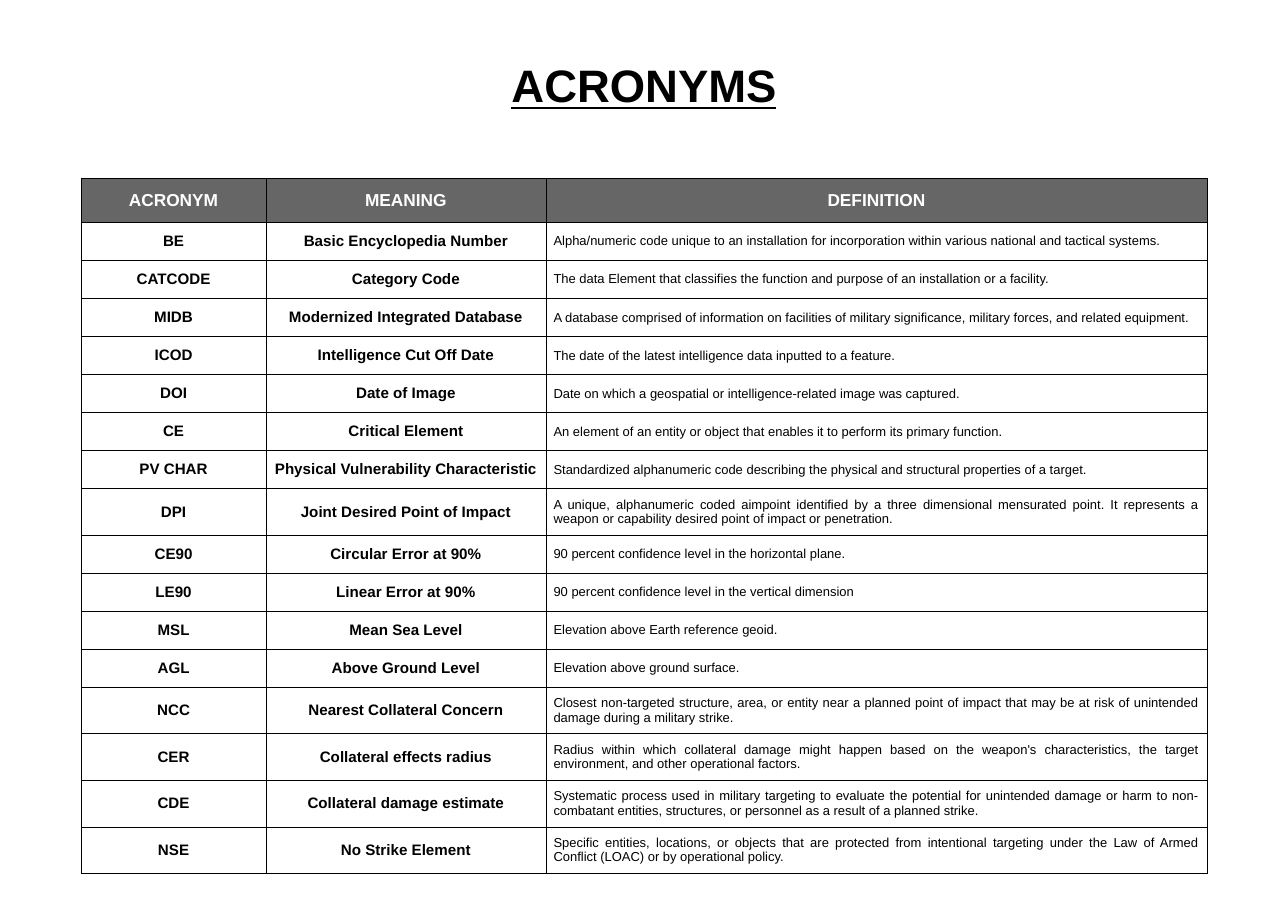
import lxml.etree
import pptx
import pptx.dml.color
import pptx.enum.text
import pptx.oxml
import pptx.oxml.ns
import pptx.util

Cm = pptx.util.Cm
Pt = pptx.util.Pt
ALIGN = pptx.enum.text.PP_ALIGN
MIDDLE = pptx.enum.text.MSO_ANCHOR.MIDDLE

HEADINGS = ("ACRONYM", "MEANING", "DEFINITION")
ACRONYMS = [
    ("BE", "Basic Encyclopedia Number",
     "Alpha/numeric code unique to an installation for incorporation within "
     "various national and tactical systems."),
    ("CATCODE", "Category Code",
     "The data Element that classifies the function and purpose of an "
     "installation or a facility."),
    ("MIDB", "Modernized Integrated Database",
     "A database comprised of information on facilities of military "
     "significance, military forces, and related equipment."),
    ("ICOD", "Intelligence Cut Off Date",
     "The date of the latest intelligence data inputted to a feature."),
    ("DOI", "Date of Image",
     "Date on which a geospatial or intelligence-related image was captured."),
    ("CE", "Critical Element",
     "An element of an entity or object that enables it to perform its "
     "primary function."),
    ("PV CHAR", "Physical Vulnerability Characteristic",
     "Standardized alphanumeric code describing the physical and structural "
     "properties of a target."),
    ("DPI", "Joint Desired Point of Impact",
     "A unique, alphanumeric coded aimpoint identified by a three dimensional "
     "mensurated point. It represents a weapon or capability desired point of "
     "impact or penetration."),
    ("CE90", "Circular Error at 90%",
     "90 percent confidence level in the horizontal plane."),
    ("LE90", "Linear Error at 90%",
     "90 percent confidence level in the vertical dimension"),
    ("MSL", "Mean Sea Level", "Elevation above Earth reference geoid."),
    ("AGL", "Above Ground Level", "Elevation above ground surface."),
    ("NCC", "Nearest Collateral Concern",
     "Closest non-targeted structure, area, or entity near a planned point of "
     "impact that may be at risk of unintended damage during a military "
     "strike."),
    ("CER", "Collateral effects radius",
     "Radius within which collateral damage might happen based on the "
     "weapon's characteristics, the target environment, and other "
     "operational factors."),
    ("CDE", "Collateral damage estimate",
     "Systematic process used in military targeting to evaluate the potential "
     "for unintended damage or harm to non-combatant entities, structures, or "
     "personnel as a result of a planned strike."),
    ("NSE", "No Strike Element",
     "Specific entities, locations, or objects that are protected from "
     "intentional targeting under the Law of Armed Conflict (LOAC) or by "
     "operational policy."),
]


def rgb(color):
    return pptx.dml.color.RGBColor.from_string(color)


class SlideBuilder:
    font = "Arial"
    ink = "000000"
    header_ink = "FFFFFF"
    header_fill = "666666"
    inset = Cm(0.25)

    def __init__(self, slide):
        self.slide = slide

    def set_text(self, tf, text, size, color, bold=True, align=ALIGN.CENTER):
        p = tf.paragraphs[0]
        p.text = text
        p.alignment = align
        p.font.name = self.font
        p.font.size = Pt(size)
        p.font.bold = bold
        p.font.color.rgb = rgb(color)
        return p

    def title(self, text, left, top, width, height):
        sp = self.slide.shapes.add_textbox(
            Cm(left), Cm(top), Cm(width), Cm(height))
        tf = sp.text_frame
        tf.word_wrap = True
        tf.vertical_anchor = MIDDLE
        self.set_text(tf, text, 42, self.ink).font.underline = True

    def borders(self, cell, width=0.75):
        tc_pr = cell._tc.get_or_add_tcPr()
        for side in ("lnL", "lnR", "lnT", "lnB"):
            ln = lxml.etree.SubElement(
                tc_pr, pptx.oxml.ns.qn(f"a:{side}"), w=str(Pt(width)))
            fill = lxml.etree.SubElement(ln, pptx.oxml.ns.qn("a:solidFill"))
            lxml.etree.SubElement(
                fill, pptx.oxml.ns.qn("a:srgbClr"), val=self.ink)

    def cell(self, cell, text, is_header, is_definition):
        cell.vertical_anchor = MIDDLE
        cell.margin_left = cell.margin_right = self.inset
        cell.margin_top = cell.margin_bottom = self.inset
        self.borders(cell)
        if is_header:
            cell.fill.solid()
            cell.fill.fore_color.rgb = rgb(self.header_fill)
            self.set_text(cell.text_frame, text, 16, self.header_ink)
            return
        cell.fill.background()
        if is_definition:
            self.set_text(cell.text_frame, text, 12, self.ink, False,
                          ALIGN.JUSTIFY)
        else:
            self.set_text(cell.text_frame, text, 14, self.ink)

    def table(self, rows, left, top, widths, header_height, row_height):
        height = header_height + row_height * (len(rows) - 1)
        table = self.slide.shapes.add_table(
            len(rows), len(widths), Cm(left), Cm(top),
            Cm(sum(widths)), Cm(height)).table
        table.first_row = table.horz_banding = False
        for column, width in zip(table.columns, widths):
            column.width = Cm(width)
        for i, texts in enumerate(rows):
            table.rows[i].height = Cm(row_height if i else header_height)
            for j, text in enumerate(texts):
                self.cell(table.cell(i, j), text, i == 0, j == 2)


def main():
    prs = pptx.Presentation()
    prs.slide_width, prs.slide_height = Cm(42), Cm(29.7)
    s = SlideBuilder(prs.slides.add_slide(prs.slide_layouts[6]))
    s.title("ACRONYMS", 0, 0.15, 42, 5.23)
    s.table([HEADINGS] + ACRONYMS, 2.65, 5.8, (6.02, 9.13, 21.56), 1.45, 1.24)
    prs.save("out.pptx")


if __name__ == "__main__":
    main()
